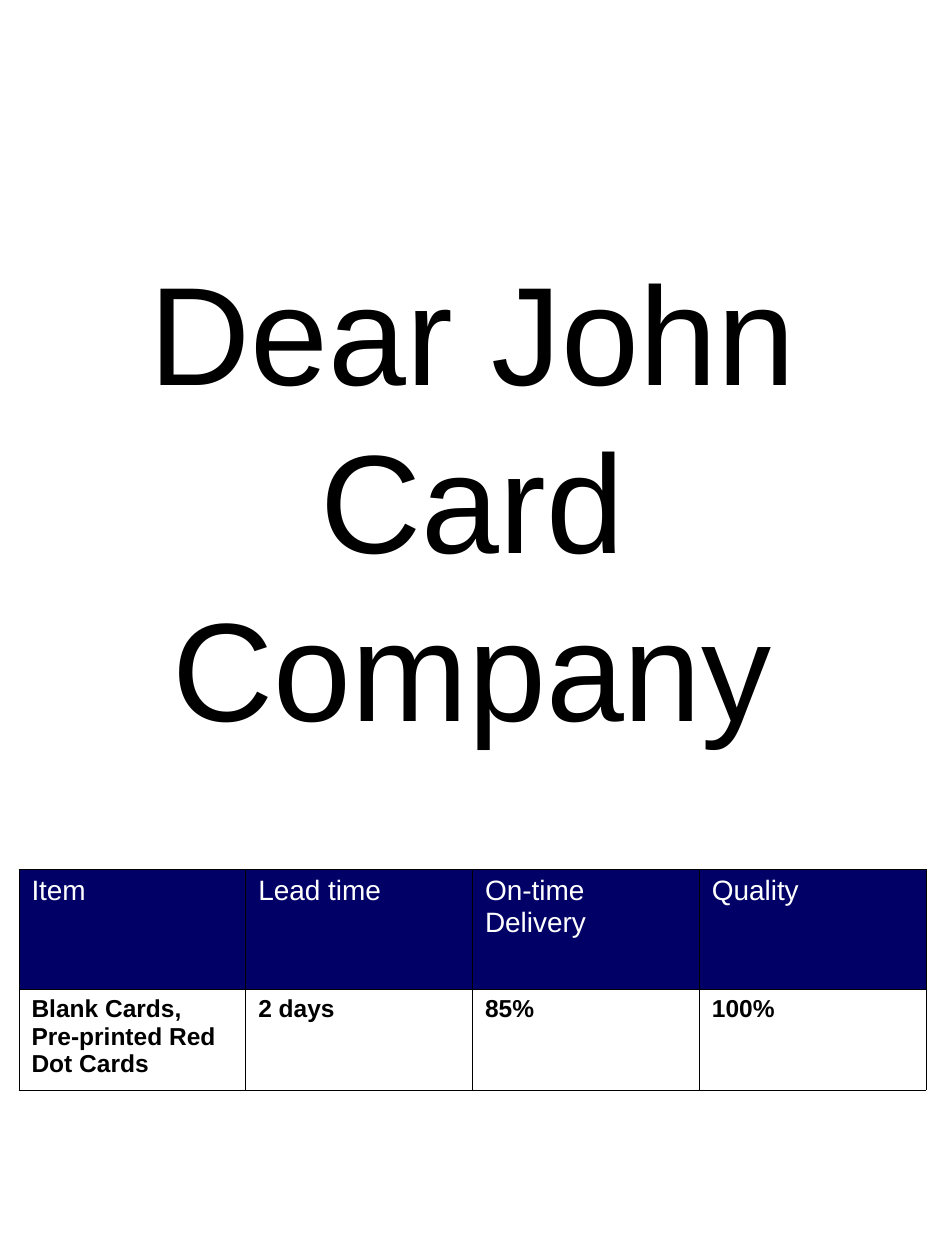
from dataclasses import dataclass

import lxml.etree
import pptx
import pptx.dml.color
import pptx.enum.text
import pptx.oxml.ns
import pptx.util


@dataclass(frozen=True)
class Theme:
    font: str = "Arial"
    ink: str = "000000"
    paper: str = "FFFFFF"
    navy: str = "000066"
    title_size: int = 80
    title_leading: int = 96
    head_size: int = 16
    body_size: int = 14
    rule_width: float = 0.45


class CardPage:
    def __init__(self, deck, theme):
        self.deck = deck
        self.theme = theme
        self.page = deck.slides.add_slide(deck.slide_layouts[5])

    def across(self, share):
        return int(self.deck.slide_width * share)

    def down(self, share):
        return int(self.deck.slide_height * share)

    def add_text(self, para, text, size, colour, bold=False):
        """Add one run per line, with line breaks between."""
        for number, line in enumerate(text.split("\n")):
            if number:
                para.add_line_break()
            span = para.add_run()
            span.text = line
            span.font.name = self.theme.font
            span.font.size = pptx.util.Pt(size)
            span.font.bold = bold
            span.font.color.rgb = pptx.dml.color.RGBColor.from_string(colour)

    def title(self, text, left, top, width, height):
        box = self.page.shapes.title
        box.left, box.top = self.across(left), self.down(top)
        box.width, box.height = self.across(width), self.down(height)
        frame = box.text_frame
        frame.word_wrap = True
        frame.auto_size = pptx.enum.text.MSO_AUTO_SIZE.NONE
        frame.vertical_anchor = pptx.enum.text.MSO_ANCHOR.MIDDLE
        para = frame.paragraphs[0]
        para.alignment = pptx.enum.text.PP_ALIGN.CENTER
        para.line_spacing = pptx.util.Pt(self.theme.title_leading)
        self.add_text(para, text, self.theme.title_size, self.theme.ink)

    def rule_cell(self, cell):
        """Draw a thin line on all four sides of a cell."""
        properties = cell._tc.get_or_add_tcPr()
        qn = pptx.oxml.ns.qn
        for position, side in enumerate(("lnL", "lnR", "lnT", "lnB")):
            line = lxml.etree.Element(qn(f"a:{side}"), w=str(pptx.util.Pt(self.theme.rule_width)))
            fill = lxml.etree.SubElement(line, qn("a:solidFill"))
            lxml.etree.SubElement(fill, qn("a:srgbClr"), val=self.theme.ink)
            properties.insert(position, line)

    def table(self, rows, left, top, width, row_heights):
        """Place a table of equal columns whose first row is the header."""
        columns = len(rows[0])
        grid = self.page.shapes.add_table(
            len(rows), columns, self.across(left), self.down(top),
            self.across(width), self.down(sum(row_heights))).table
        for column in grid.columns:
            column.width = self.across(width / columns)
        for row, height in zip(grid.rows, row_heights):
            row.height = self.down(height)
        for r, texts in enumerate(rows):
            header = r == 0
            size = self.theme.head_size if header else self.theme.body_size
            colour = self.theme.paper if header else self.theme.ink
            for c, text in enumerate(texts):
                cell = grid.cell(r, c)
                if header:
                    cell.fill.solid()
                    cell.fill.fore_color.rgb = pptx.dml.color.RGBColor.from_string(self.theme.navy)
                else:
                    cell.fill.background()
                self.rule_cell(cell)
                self.add_text(cell.text_frame.paragraphs[0], text, size, colour, bold=not header)


def main():
    deck = pptx.Presentation()
    deck.slide_width = pptx.util.Inches(7.5)
    deck.slide_height = pptx.util.Inches(10)
    card = CardPage(deck, Theme())
    card.title("Dear John Card Company", 0.05, 0.31, 0.9, 0.17)
    card.table(
        [["Item", "Lead time", "On-time Delivery", "Quality"],
         ["Blank Cards, \nPre-printed Red Dot Cards", "2 days", "85%", "100%"]],
        left=0.02, top=0.69, width=0.96, row_heights=[0.095, 0.08])
    deck.save("out.pptx")


if __name__ == "__main__":
    main()
